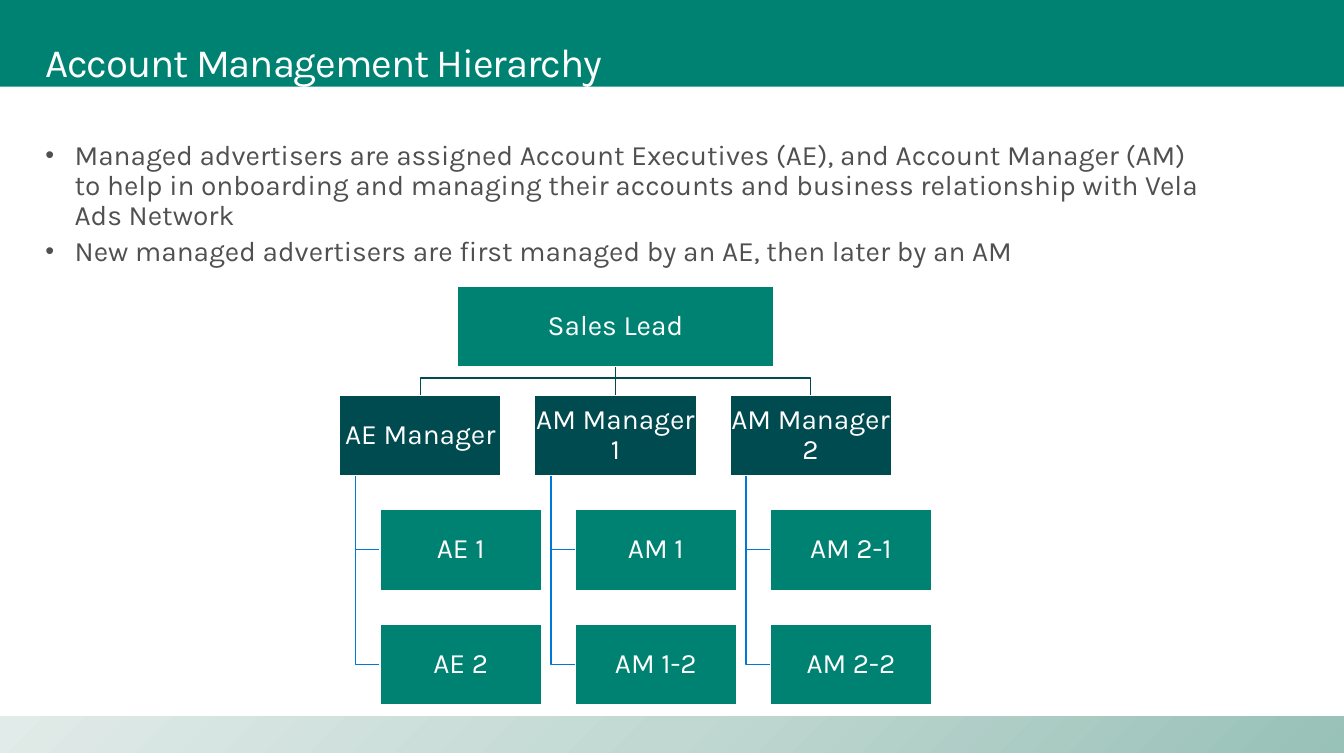
from copy import deepcopy

from lxml.etree import SubElement
from pptx import Presentation
from pptx.dml.color import RGBColor
from pptx.enum.shapes import MSO_CONNECTOR, MSO_SHAPE
from pptx.enum.text import MSO_ANCHOR, PP_ALIGN
from pptx.oxml.ns import qn
from pptx.util import Inches, Pt

COLORS = {
    "white": "FFFFFF", "teal": "008272", "dark_teal": "004B50", "blue": "0078D7",
    "text": "505050", "mist_dark": "98C1B7", "mist": "C1D8D2", "mist_light": "E1EBE9",
}
BULLETS = [
    "Managed advertisers are assigned Account Executives (AE), and Account Manager (AM) "
    "to help in onboarding and managing their accounts and business relationship with "
    "Vela Ads Network",
    "New managed advertisers are first managed by an AE, then later by an AM",
]
TEAMS = [
    ("AE Manager", ["AE 1", "AE 2"]),
    ("AM Manager 1", ["AM 1", "AM 1-2"]),
    ("AM Manager 2", ["AM 2-1", "AM 2-2"]),
]
LINE_WIDTH = Pt(0.85)


def color(name):
    """Return the named colour."""
    return RGBColor.from_string(COLORS[name])


def add_run(paragraph, text, size, color_name):
    """Add one styled run and set the line spacing."""
    paragraph.line_spacing = 0.9
    run = paragraph.add_run()
    run.text = text
    run.font.name = "Karla"
    run.font.size = Pt(size)
    run.font.color.rgb = color(color_name)
    return run


def add_rectangle(slide, left, top, width, height, fill_name):
    """Add a plain rectangle without outline."""
    shape = slide.shapes.add_shape(
        MSO_SHAPE.RECTANGLE, Inches(left), Inches(top), Inches(width), Inches(height))
    shape.shadow.inherit = False
    shape.fill.solid()
    shape.fill.fore_color.rgb = color(fill_name)
    shape.line.fill.background()
    return shape


def add_text_frame(slide, left, top, width, height):
    """Add a wrapping text box and return its text frame."""
    frame = slide.shapes.add_textbox(
        Inches(left), Inches(top), Inches(width), Inches(height)).text_frame
    frame.word_wrap = True
    frame.margin_left = frame.margin_right = Inches(0.16)
    frame.margin_top = frame.margin_bottom = Inches(0.1)
    return frame


def add_footer(slide, left, top, width, height):
    """Add the gradient band at the foot of the slide."""
    fill = add_rectangle(slide, left, top, width, height, "mist").fill
    fill.gradient()
    fill.gradient_angle = 135
    first, last = fill.gradient_stops
    first.color.rgb = color("mist_dark")
    last.color.rgb = color("mist_light")
    stops = fill._fill._gradFill.find(qn("a:gsLst"))
    stops.insert(1, deepcopy(stops[0]))
    middle = fill.gradient_stops[1]
    middle.position = 0.5
    middle.color.rgb = color("mist")


def add_header(slide, left, top, width, height):
    """Add the title band and the title."""
    add_rectangle(slide, left, top, width, height, "teal")
    frame = add_text_frame(slide, left + 0.29, top + 0.32, 11.87, 1.45)
    run = add_run(frame.paragraphs[0], "Account Management Hierarchy", 28.7, "white")
    run.font._element.set("spc", "-80")


def add_bullets(slide, left, top, width, height):
    """Add the bulleted introduction."""
    frame = add_text_frame(slide, left, top, width, height)
    for index, text in enumerate(BULLETS):
        paragraph = frame.add_paragraph() if index else frame.paragraphs[0]
        properties = paragraph._p.get_or_add_pPr()
        properties.set("marL", str(Inches(0.29)))
        properties.set("indent", str(-Inches(0.29)))
        SubElement(properties, qn("a:buSzPct"), val="90000")
        SubElement(properties, qn("a:buFont"), typeface="Arial")
        SubElement(properties, qn("a:buChar"), char="•")
        if index:
            paragraph.space_before = Pt(4)
        add_run(paragraph, text, 20, "text")


def add_role(slide, left, top, width, height, text, fill_name):
    """Add one labelled box of the chart."""
    shape = add_rectangle(slide, left, top, width, height, fill_name)
    shape.line.color.rgb = color("white")
    shape.line.width = LINE_WIDTH
    frame = shape.text_frame
    frame.word_wrap = True
    frame.vertical_anchor = MSO_ANCHOR.MIDDLE
    frame.margin_left = frame.margin_right = Inches(0.01)
    frame.margin_top = frame.margin_bottom = Inches(0.01)
    paragraph = frame.paragraphs[0]
    paragraph.alignment = PP_ALIGN.CENTER
    add_run(paragraph, text, 20, "white")


def add_link(slide, points, color_name):
    """Join points, by a connector if there are two and an open outline otherwise."""
    corners = [(Inches(x), Inches(y)) for x, y in points]
    if len(corners) == 2:
        link = slide.shapes.add_connector(MSO_CONNECTOR.STRAIGHT, *corners[0], *corners[1])
        SubElement(link._element.spPr, qn("a:effectLst"))
    else:
        builder = slide.shapes.build_freeform(*corners[0])
        builder.add_line_segments(corners[1:], close=False)
        link = builder.convert_to_shape()
        link.shadow.inherit = False
        link.fill.background()
    link.line.color.rgb = color(color_name)
    link.line.width = LINE_WIDTH


def add_hierarchy(slide, left, top, width, height):
    """Add the chart: the lead, the managers and their teams."""
    role_width, role_height, lead_width = 1.6, 0.8, 3.14
    indent, manager_drop, member_pitch = 0.4, 1.08, 1.135
    team_pitch = (width - role_width - indent) / (len(TEAMS) - 1)
    center = left + (width - indent) / 2
    manager_top = top + manager_drop
    lead_bottom = top + role_height
    member_tops = [top + height - role_height - member_pitch, top + height - role_height]

    for index, (manager, members) in enumerate(TEAMS):
        team_left = left + index * team_pitch
        team_center = team_left + role_width / 2
        branch = [(center, lead_bottom), (center, lead_bottom + 0.11),
                  (team_center, lead_bottom + 0.11), (team_center, manager_top)]
        if index == len(TEAMS) // 2:
            branch = [branch[0], branch[-1]]
        add_link(slide, branch, "dark_teal")
        add_role(slide, team_left, manager_top, role_width, role_height, manager, "dark_teal")
        for member, member_top in zip(members, member_tops):
            stem, middle = team_left + 0.16, member_top + role_height / 2
            add_link(slide, [(stem, manager_top + role_height), (stem, middle),
                             (team_left + indent, middle)], "blue")
            add_role(slide, team_left + indent, member_top, role_width, role_height,
                     member, "teal")
    add_role(slide, center - lead_width / 2, top, lead_width, role_height,
             "Sales Lead", "teal")


def main():
    """Build and save the slide."""
    presentation = Presentation()
    presentation.slide_width = Inches(13.33)
    presentation.slide_height = Inches(7.5)
    slide = presentation.slides.add_slide(presentation.slide_layouts[6])
    add_footer(slide, 0, 7.11, 13.33, 0.36)
    add_header(slide, 0, 0, 13.33, 0.86)
    add_bullets(slide, 0.29, 1.3, 11.87, 1.48)
    add_hierarchy(slide, 3.37, 2.84, 5.87, 4.15)
    presentation.save("out.pptx")


if __name__ == "__main__":
    main()
